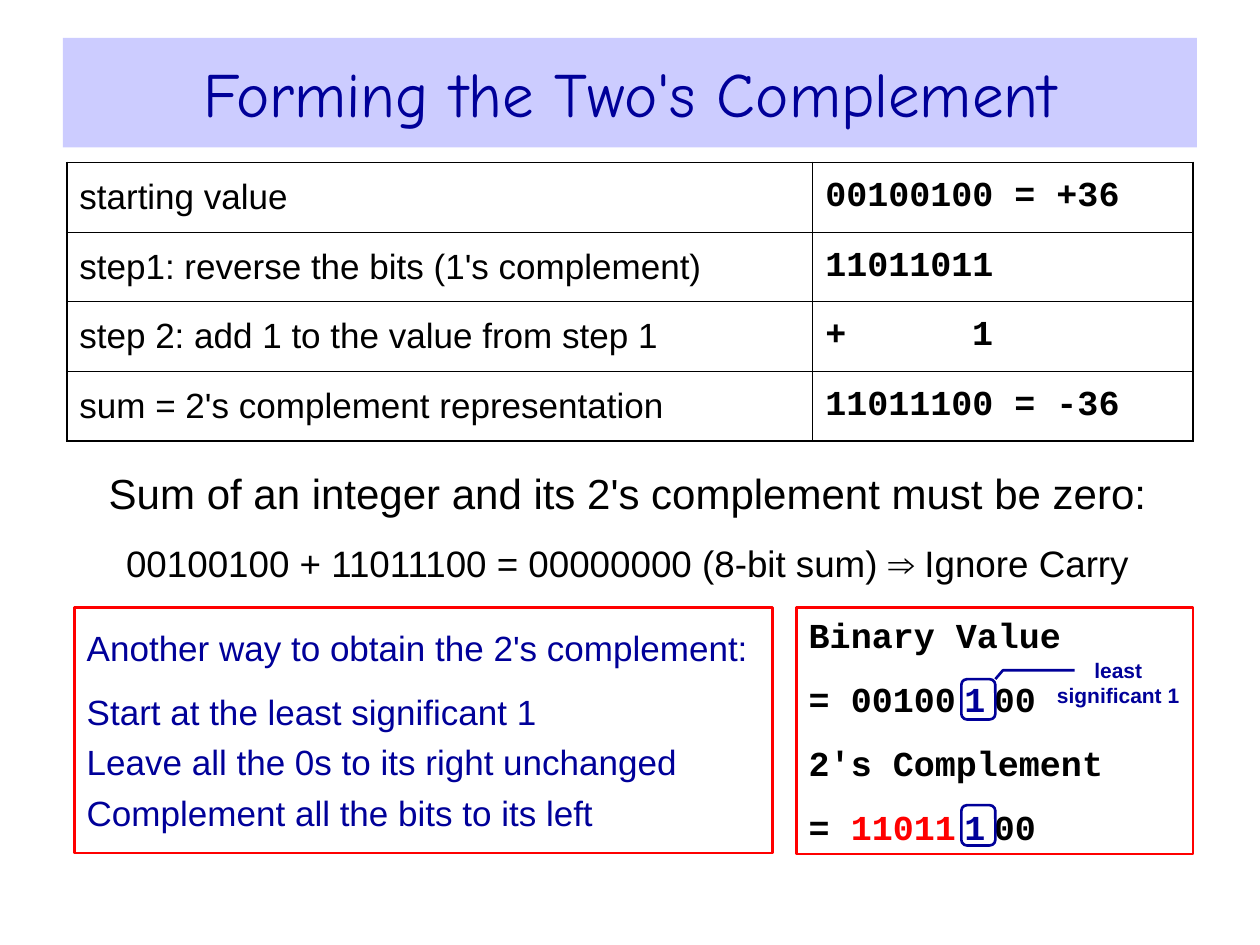
import lxml.etree
import pptx
import pptx.dml.color
import pptx.enum.shapes
import pptx.enum.text
import pptx.oxml
import pptx.oxml.ns
import pptx.util

THEME = {
    "sans": "Arial", "mono": "Courier New", "title": "Comic Neue",
    "black": "000000", "navy": "000099", "red": "FF0000", "band": "CCCCFF",
    "h1": 36, "h2": 24, "sum": 21, "body": 20, "label": 12, "gap": 8,
    "rule": 1.5, "outer": 1.08, "inner": 0.45,
}
rgb = pptx.dml.color.RGBColor.from_string
Pt = pptx.util.Pt
SHAPE = pptx.enum.shapes.MSO_SHAPE
CENTER = pptx.enum.text.PP_ALIGN.CENTER
MIDDLE = pptx.enum.text.MSO_ANCHOR.MIDDLE
TOP = pptx.enum.text.MSO_ANCHOR.TOP
qn = pptx.oxml.ns.qn

prs = pptx.Presentation()
prs.slide_width = pptx.util.Inches(10)
prs.slide_height = pptx.util.Inches(7.5)
s = prs.slides.add_slide(prs.slide_layouts[6])
U = prs.slide_width // 100


def grid(*cells):
    return [round(c * U) for c in cells]


def write(tf, lines, font, color, bold=False, align=None, anchor=TOP, pad=0.5):
    tf.word_wrap = True
    tf.vertical_anchor = anchor
    tf.margin_top = tf.margin_bottom = round(pad * U)
    for i, (runs, size, before) in enumerate(lines):
        p = tf.add_paragraph() if i else tf.paragraphs[0]
        p.alignment = align or pptx.enum.text.PP_ALIGN.LEFT
        p.space_before = Pt(before)
        p.font.name, p.font.size, p.font.bold = THEME[font], Pt(THEME[size]), bold
        p.font.color.rgb = rgb(THEME[color])
        for text, tint in [(runs, None)] if isinstance(runs, str) else runs:
            r = p.add_run()
            r.text = text
            if tint:
                r.font.color.rgb = rgb(THEME[tint])
            if text == " ":
                r.font.size = Pt(THEME["gap"])


title = s.shapes.add_shape(SHAPE.RECTANGLE, *grid(5, 3, 90, 8.7))
title.shadow.inherit = False
title.fill.solid()
title.fill.fore_color.rgb = rgb(THEME["band"])
title.line.fill.background()
write(title.text_frame, [("Forming the Two's Complement", "h1", 0)],
      "title", "navy", align=CENTER, anchor=MIDDLE)

steps = [
    ("starting value", "00100100 = +36"),
    ("step1: reverse the bits (1's complement)", "11011011"),
    ("step 2: add 1 to the value from step 1", "+\t1"),
    ("sum = 2's complement representation", "11011100 = -36"),
]
table = s.shapes.add_table(4, 2, *grid(5.3, 12.9, 89.4, 22.1)).table
table.first_row = table.horz_banding = False
table.columns[0].width, table.columns[1].width = grid(59.2, 30.2)
for i, step in enumerate(steps):
    for j, text in enumerate(step):
        cell = table.cell(i, j)
        cell.fill.background()
        cell.vertical_anchor = MIDDLE
        write(cell.text_frame, [(text, "body", 10)], ("sans", "mono")[j], "black",
              bold=j == 1, anchor=MIDDLE)
        tcPr = cell._tc.get_or_add_tcPr()
        edges = [("L", j == 0), ("R", j == 1), ("T", i == 0), ("B", i == 3)]
        for k, (side, outer) in enumerate(edges):
            width = Pt(THEME["outer" if outer else "inner"])
            ln = lxml.etree.Element(qn(f"a:ln{side}"), w=str(int(width)))
            fill = lxml.etree.SubElement(ln, qn("a:solidFill"))
            lxml.etree.SubElement(fill, qn("a:srgbClr"), val=THEME["black"])
            tcPr.insert(k, ln)
        if "\t" in text:
            pPr = cell.text_frame.paragraphs[0]._p.get_or_add_pPr()
            tabs = lxml.etree.Element(qn("a:tabLst"))
            lxml.etree.SubElement(tabs, qn("a:tab"), pos=str(int(Pt(96))), algn="r")
            pPr.find(qn("a:defRPr")).addprevious(tabs)

proof = s.shapes.add_textbox(*grid(6.7, 35.6, 86.2, 12.3))
write(proof.text_frame, [
    ("Sum of an integer and its 2's complement must be zero:", "h2", 15),
    ("00100100 + 11011100 = 00000000 (8-bit sum) ⇒ Ignore Carry", "sum", 13.1),
], "sans", "black", align=CENTER, pad=1.5)

one = [(" ", None), ("1", "navy"), (" ", None), ("00", None)]
method = [
    ("Another way to obtain the 2's complement:", "body", 12.5),
    ("Start at the least significant 1", "body", 12.5),
    ("Leave all the 0s to its right unchanged", "body", 5),
    ("Complement all the bits to its left", "body", 5),
]
example = [
    ("Binary Value", "body", 12.5),
    ([("= 00100", None)] + one, "body", 12.5),
    ("2's Complement", "body", 12.5),
    ([("= ", None), ("11011", "red")] + one, "body", 12.5),
]
frames = [
    (SHAPE.RECTANGLE, (5.9, 48.2, 55.4, 19.5), "red", (method, "sans", "navy", False, 1.5)),
    (SHAPE.RECTANGLE, (63.2, 48.2, 31.5, 19.6), "red", (example, "mono", "black", True, 0.5)),
    (SHAPE.ROUNDED_RECTANGLE, (76.3, 53.9, 2.7, 3.2), "navy", None),
    (SHAPE.ROUNDED_RECTANGLE, (76.3, 63.9, 2.7, 3.2), "navy", None),
]
for kind, box, color, content in frames:
    sp = s.shapes.add_shape(kind, *grid(*box))
    sp.shadow.inherit = False
    sp.fill.background()
    sp.line.color.rgb = rgb(THEME[color])
    sp.line.width = Pt(THEME["rule"])
    if content:
        lines, font, ink, bold, pad = content
        write(sp.text_frame, lines, font, ink, bold=bold, pad=pad)

label = s.shapes.add_textbox(*grid(83.4, 52, 10.7, 4.4))
label.text_frame.margin_left = label.text_frame.margin_right = 0
write(label.text_frame, [("least", "label", 0), ("significant 1", "label", 0)],
      "sans", "navy", bold=True, align=CENTER, anchor=MIDDLE, pad=0)

path = s.shapes.build_freeform(*grid(85.3, 53.2))
path.add_line_segments([grid(79.6, 53.2), grid(79, 53.9)], close=False)
leader = path.convert_to_shape()
leader.shadow.inherit = False
leader.fill.background()
leader.line.color.rgb = rgb(THEME["navy"])
leader.line.width = Pt(THEME["rule"])

prs.save("out.pptx")
